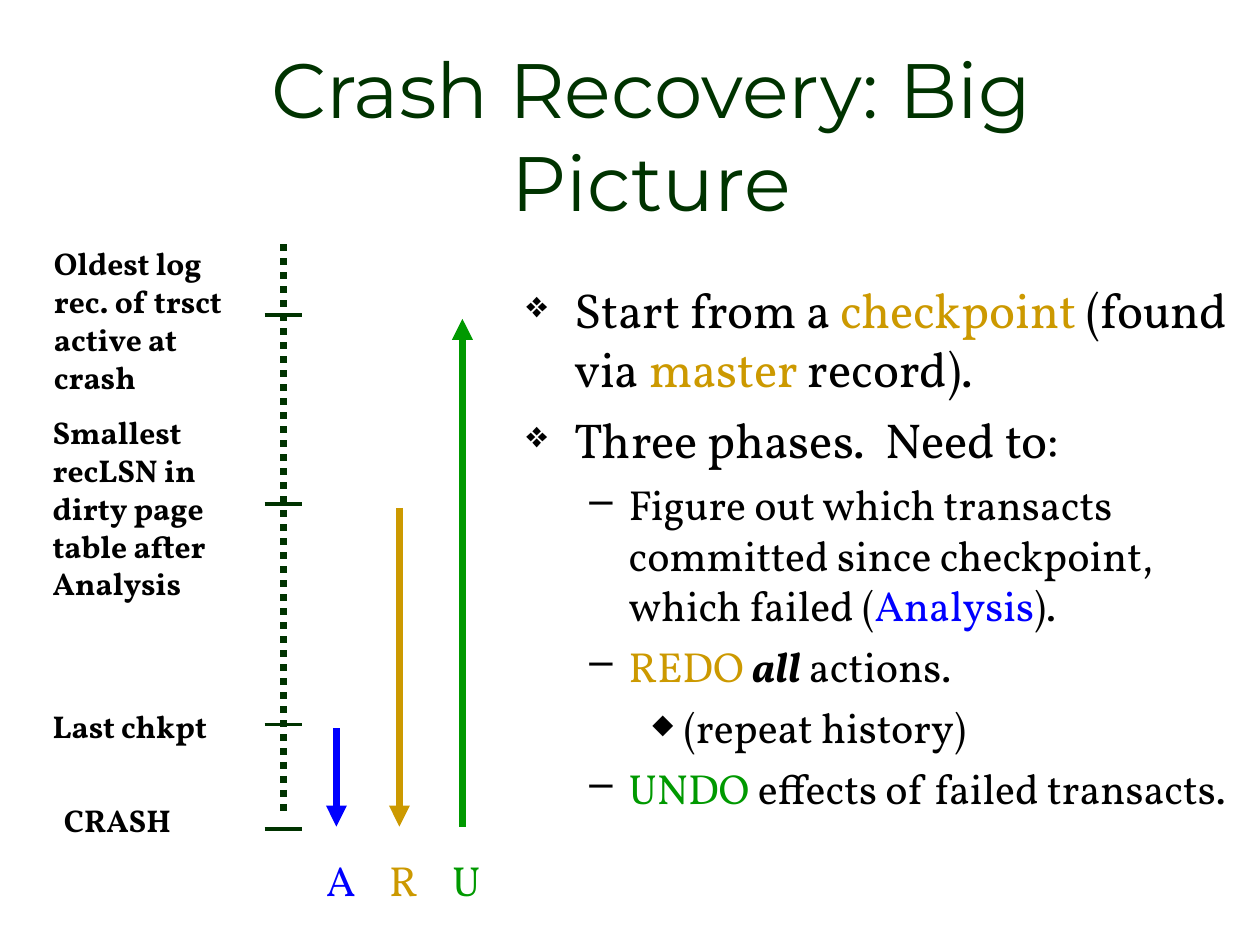
import pptx
import pptx.util
import pptx.dml.color
import pptx.enum.dml
import pptx.enum.shapes
import pptx.enum.text
import pptx.oxml.ns
from lxml import etree

Inches = pptx.util.Inches
Pt = pptx.util.Pt
ALIGN = pptx.enum.text.PP_ALIGN
ANCHOR = pptx.enum.text.MSO_ANCHOR

BLACK, DARK, GOLD, BLUE, GREEN = "000000", "003300", "CC9900", "0000FF", "009900"
BODY, HEADING = "Vollkorn", "Montserrat"

LEVELS = [
    {"size": 28, "left": 0.38, "hang": 0.38, "before": 7, "char": "❖", "pct": 75},
    {"size": 24, "left": 0.81, "hang": 0.31, "before": 6, "char": "–", "pct": 100},
    {"size": 24, "left": 1.25, "hang": 0.25, "before": 6, "char": "◆", "pct": 65},
]
BULLETS = [
    (0, [("Start from a ", BLACK), ("checkpoint", GOLD), (" (found via ", BLACK),
         ("master", GOLD), (" record).", BLACK)]),
    (0, [("Three phases.  Need to:", BLACK)]),
    (1, [("Figure out which transacts committed since checkpoint, which failed (", BLACK),
         ("Analysis", BLUE), (").", BLACK)]),
    (1, [("REDO ", GOLD), ("all", BLACK, True), (" actions.", BLACK)]),
    (2, [("(repeat history)", BLACK)]),
    (1, [("UNDO", GREEN), (" effects of failed transacts.", BLACK)]),
]
LABELS = [
    (0.01, 0, 1.3, "Oldest log rec. of trsct active at crash"),
    (0, 1.34, 1.6, "Smallest recLSN in dirty page table after Analysis"),
    (0, 3.67, 0.4, "Last chkpt"),
    (0.09, 4.42, 0.4, "CRASH"),
]
TICKS = [0.61, 2.11, 3.86, 4.69]
PHASES = [("A", BLUE, 3.89, 4.67), ("R", GOLD, 2.14, 4.67), ("U", GREEN, 4.67, 0.64)]


def rgb(color):
    return pptx.dml.color.RGBColor.from_string(color)


def add_sub(parent, tag, **attrs):
    return etree.SubElement(parent, pptx.oxml.ns.qn(tag), attrs)


def set_font(font, name, size, color, bold=False):
    font.name = name
    font.size = Pt(size)
    font.bold = bold
    font.color.rgb = rgb(color)


def add_box(s, x, y, w, h, wrap=True, anchor=ANCHOR.TOP):
    tf = s.shapes.add_textbox(Inches(x), Inches(y), Inches(w), Inches(h)).text_frame
    tf.word_wrap = wrap
    tf.vertical_anchor = anchor
    return tf


def add_text(s, x, y, w, h, text, name, size, color, bold=False, align=ALIGN.LEFT,
             wrap=True, anchor=ANCHOR.TOP):
    p = add_box(s, x, y, w, h, wrap, anchor).paragraphs[0]
    p.text = text
    p.alignment = align
    set_font(p.font, name, size, color, bold)


def add_line(s, x1, y1, x2, y2, color, width, arrow=False):
    line = s.shapes.add_connector(pptx.enum.shapes.MSO_CONNECTOR.STRAIGHT,
                                  Inches(x1), Inches(y1), Inches(x2), Inches(y2))
    line.line.color.rgb = rgb(color)
    line.line.width = Pt(width)
    if arrow:
        add_sub(line.line._get_or_add_ln(), "a:tailEnd", type="triangle")
    add_sub(line._element.spPr, "a:effectLst")
    return line


def add_bullet(p, level):
    pPr = p._p.get_or_add_pPr()
    pPr.set("marL", str(Inches(level["left"])))
    pPr.set("indent", str(-Inches(level["hang"])))
    add_sub(add_sub(pPr, "a:buClr"), "a:srgbClr", val=BLACK)
    add_sub(pPr, "a:buSzPct", val=str(level["pct"] * 1000))
    add_sub(pPr, "a:buChar", char=level["char"])


def add_title(s, x, y, w, h):
    add_text(s, x, y, w, h, "Crash Recovery: Big Picture", HEADING, 44, DARK,
             align=ALIGN.CENTER, anchor=ANCHOR.MIDDLE)


def add_outline(s, x, y, w, h):
    tf = add_box(s, x, y, w, h)
    for i, (depth, runs) in enumerate(BULLETS):
        p = tf.add_paragraph() if i else tf.paragraphs[0]
        level = LEVELS[depth]
        p.level = depth
        add_bullet(p, level)
        p.space_before = Pt(level["before"] if i else 0)
        p.font.name = BODY
        p.font.size = Pt(level["size"])
        for text, color, *strong in runs:
            r = p.add_run()
            r.text = text
            r.font.color.rgb = rgb(color)
            if strong:
                r.font.bold = r.font.italic = True


def add_timeline(s, x, y):
    axis = x + 1.93
    log = add_line(s, axis, y + 0.05, axis, y + 4.58, DARK, 4)
    log.line.dash_style = pptx.enum.dml.MSO_LINE.ROUND_DOT
    for dx, dy, h, text in LABELS:
        add_text(s, x + dx, y + dy, 1.84, h, text, BODY, 18, BLACK, bold=True)
    for dy in TICKS:
        add_line(s, axis - 0.15, y + dy, axis + 0.15, y + dy, DARK, 2)
    for i, (letter, color, start, end) in enumerate(PHASES):
        cx = axis + 0.42 + 0.5 * i
        add_line(s, cx, y + start, cx, y + end, color, 4, arrow=True)
        add_text(s, cx - 0.18, y + 4.84, 0.43, 0.5, letter, BODY, 24, color, wrap=False)


def main():
    prs = pptx.Presentation()
    prs.slide_width, prs.slide_height = Inches(10), Inches(7.5)
    s = prs.slides.add_slide(prs.slide_layouts[6])
    add_title(s, 0.92, 0.46, 8.5, 1.21)
    add_outline(s, 4.08, 2.17, 5.92, 4.46)
    add_timeline(s, 0.32, 1.89)
    prs.save("out.pptx")


if __name__ == "__main__":
    main()
